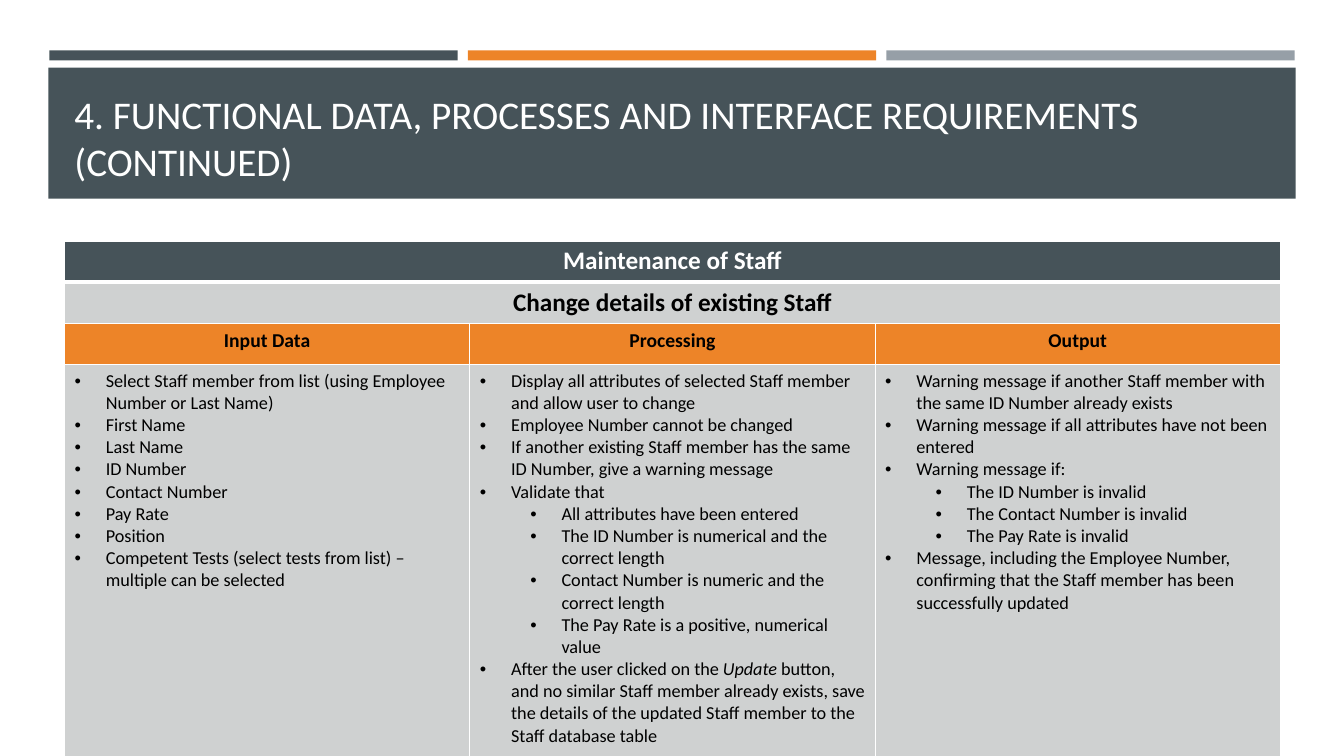
"""Build the staff maintenance requirements slide."""
from lxml.etree import SubElement
from pptx import Presentation
from pptx.dml.color import RGBColor
from pptx.enum.shapes import MSO_SHAPE
from pptx.enum.text import MSO_ANCHOR, PP_ALIGN
from pptx.oxml.ns import qn
from pptx.util import Inches, Pt

TITLE = "4. FUNCTIONAL DATA, PROCESSES AND INTERFACE REQUIREMENTS (CONTINUED)"
BANNERS = [("Maintenance of Staff", "slate", "white"),
           ("Change details of existing Staff", "pale", "black")]
COLUMNS = {
    "Input Data": [
        (0, "Select Staff member from list (using Employee Number or Last Name)"),
        (0, "First Name"),
        (0, "Last Name"),
        (0, "ID Number"),
        (0, "Contact Number"),
        (0, "Pay Rate"),
        (0, "Position"),
        (0, "Competent Tests (select tests from list) – multiple can be selected"),
    ],
    "Processing": [
        (0, "Display all attributes of selected Staff member and allow user to change"),
        (0, "Employee Number cannot be changed"),
        (0, "If another existing Staff member has the same ID Number, give a warning message"),
        (0, "Validate that"),
        (1, "All attributes have been entered"),
        (1, "The ID Number is numerical and the correct length"),
        (1, "Contact Number is numeric and the correct length"),
        (1, "The Pay Rate is a positive, numerical value"),
        (0, "After the user clicked on the *Update* button, and no similar Staff member "
            "already exists, save the details of the updated Staff member to the Staff "
            "database table"),
    ],
    "Output": [
        (0, "Warning message if another Staff member with the same ID Number already exists"),
        (0, "Warning message if all attributes have not been entered"),
        (0, "Warning message if:"),
        (1, "The ID Number is invalid"),
        (1, "The Contact Number is invalid"),
        (1, "The Pay Rate is invalid"),
        (0, "Message, including the Employee Number, confirming that the Staff member has "
            "been successfully updated"),
    ],
}
COLORS = {"slate": "465359", "orange": "ED8428", "gray": "969FA7",
          "pale": "CFD1D1", "white": "FFFFFF", "black": "000000"}
FONT = "Calibri"
WIDTH, HEIGHT = 13.33, 7.5
MARGIN, CONTENT_WIDTH = 0.64, 12.06
BAR_LEFT, BAR_WIDTH, BAR_GAP = 0.49, 4.05, 0.1
TABLE_TOP, ROW_HEIGHT, TABLE_HEIGHT = 2.39, 0.41, 5.22
INDENT, LEVEL_STEP = 0.31, 0.5


def color(name):
    return RGBColor.from_string(COLORS[name])


def add_block(slide, fill, *place):
    block = slide.shapes.add_shape(MSO_SHAPE.RECTANGLE, *map(Inches, place))
    block.shadow.inherit = False
    block.fill.solid()
    block.fill.fore_color.rgb = color(fill)
    block.line.fill.background()


def style_text(para, size, ink, bold=False):
    font = para.font
    font.name, font.size, font.bold = FONT, Pt(size), bold
    font.color.rgb = color(ink)


def style_cell(cell, fill, top=1, bottom=1):
    properties = cell._tc.get_or_add_tcPr()
    for side, width in (("L", 1), ("R", 1), ("T", top), ("B", bottom)):
        line = SubElement(properties, qn(f"a:ln{side}"), w=str(Pt(width)))
        paint = SubElement(line, qn("a:solidFill"))
        SubElement(paint, qn("a:srgbClr"), val=COLORS["white"])
    cell.fill.solid()
    cell.fill.fore_color.rgb = color(fill)


def write_heading(cell, text, size, ink):
    para = cell.text_frame.paragraphs[0]
    para.text = text
    para.alignment = PP_ALIGN.CENTER
    style_text(para, size, ink, bold=True)


def write_bullets(cell, items):
    frame = cell.text_frame
    for number, (level, text) in enumerate(items):
        para = frame.add_paragraph() if number else frame.paragraphs[0]
        para.level = level
        properties = para._p.get_or_add_pPr()
        properties.set("marL", str(Inches(INDENT + level * LEVEL_STEP)))
        properties.set("indent", str(Inches(-INDENT)))
        SubElement(properties, qn("a:buFont"), typeface="Arial")
        SubElement(properties, qn("a:buChar"), char="•")
        for part, words in enumerate(text.split("*")):
            span = para.add_run()
            span.text = words
            if part % 2:
                span.font.italic = True
        style_text(para, 13, "black")


def add_header(slide):
    for index, fill in enumerate(("slate", "orange", "gray")):
        left = BAR_LEFT + index * (BAR_WIDTH + BAR_GAP)
        add_block(slide, fill, left, 0.5, BAR_WIDTH, 0.1)
    add_block(slide, "slate", 0.48, 0.67, 12.37, 1.3)
    box = slide.shapes.add_textbox(*map(Inches, (MARGIN, 0.77, CONTENT_WIDTH, 1.11)))
    frame = box.text_frame
    frame.word_wrap = True
    frame.vertical_anchor = MSO_ANCHOR.BOTTOM
    para = frame.paragraphs[0]
    para.text = TITLE
    style_text(para, 28, "white")


def add_requirements(slide):
    row_count = len(BANNERS) + 2
    place = map(Inches, (MARGIN, TABLE_TOP, CONTENT_WIDTH, TABLE_HEIGHT))
    table = slide.shapes.add_table(row_count, len(COLUMNS), *place).table
    for row in table.rows:
        row.height = Inches(ROW_HEIGHT)
    table.rows[row_count - 1].height = Inches(TABLE_HEIGHT - (row_count - 1) * ROW_HEIGHT)
    for row, (text, fill, ink) in enumerate(BANNERS):
        for column in range(len(COLUMNS)):
            style_cell(table.cell(row, column), fill,
                       top=3 if row == 1 else 1, bottom=3 if row == 0 else 1)
        table.cell(row, 0).merge(table.cell(row, len(COLUMNS) - 1))
        write_heading(table.cell(row, 0), text, 18, ink)
    for column, (heading, items) in enumerate(COLUMNS.items()):
        head, body = (table.cell(row, column) for row in (row_count - 2, row_count - 1))
        style_cell(head, "orange")
        write_heading(head, heading, 14, "black")
        style_cell(body, "pale")
        write_bullets(body, items)


def main():
    deck = Presentation()
    deck.slide_width, deck.slide_height = Inches(WIDTH), Inches(HEIGHT)
    page = deck.slides.add_slide(deck.slide_layouts[6])
    add_header(page)
    add_requirements(page)
    deck.save("out.pptx")


if __name__ == "__main__":
    main()
